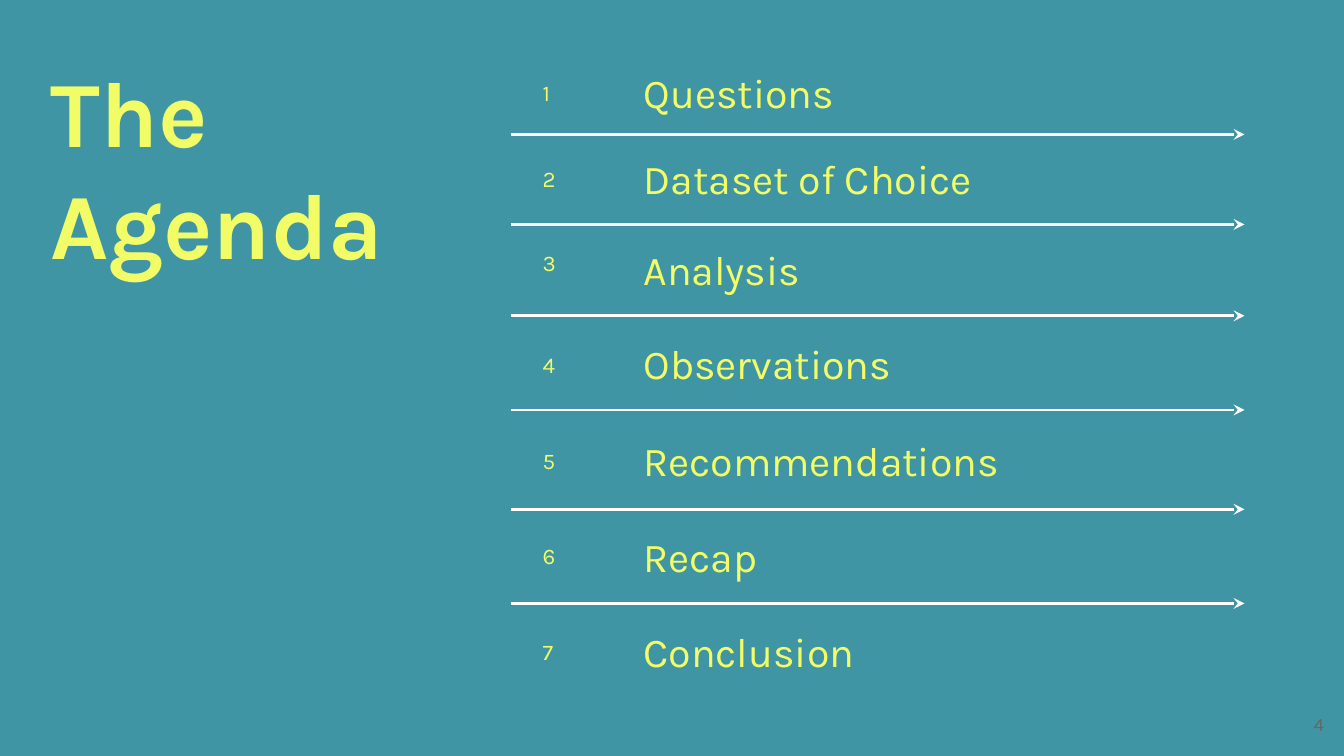
"""Build the agenda slide: a title and seven numbered items divided by arrows."""
import dataclasses

import lxml.etree
import pptx
import pptx.dml.color
import pptx.enum.shapes
import pptx.enum.text
import pptx.oxml.ns
import pptx.util

Inches = pptx.util.Inches
Anchor = pptx.enum.text.MSO_ANCHOR
Align = pptx.enum.text.PP_ALIGN


@dataclasses.dataclass(frozen=True)
class Theme:
    font: str = "Karla"
    background: str = "4095A5"
    text: str = "F2FC67"
    line: str = "FFFFFF"
    page: str = "666666"
    title_size: float = 50
    item_size: float = 22
    number_size: float = 12
    page_size: float = 10
    line_width: float = 1.5


def rgb(value):
    return pptx.dml.color.RGBColor.from_string(value)


class Deck:
    def __init__(self, prs, theme):
        self.theme = theme
        self.s = prs.slides.add_slide(prs.slide_layouts[6])
        fill = self.s.background.fill
        fill.solid()
        fill.fore_color.rgb = rgb(theme.background)

    def text(self, text, left, top, width, height, size, color=None,
             bold=False, anchor=Anchor.MIDDLE, align=Align.LEFT):
        sp = self.s.shapes.add_textbox(
            Inches(left), Inches(top), Inches(width), Inches(height))
        tf = sp.text_frame
        tf.word_wrap = True
        tf.vertical_anchor = anchor
        tf.margin_left = tf.margin_right = Inches(0.1)
        tf.margin_top = tf.margin_bottom = Inches(0.1)
        p = tf.paragraphs[0]
        p.text = text
        p.alignment = align
        p.font.name = self.theme.font
        p.font.size = pptx.util.Pt(size)
        p.font.bold = bold
        p.font.color.rgb = rgb(color or self.theme.text)

    def arrow(self, left, right, y):
        cxn = self.s.shapes.add_connector(
            pptx.enum.shapes.MSO_CONNECTOR.STRAIGHT,
            Inches(left), Inches(y), Inches(right), Inches(y))
        cxn.line.color.rgb = rgb(self.theme.line)
        cxn.line.width = pptx.util.Pt(self.theme.line_width)
        qn = pptx.oxml.ns.qn
        lxml.etree.SubElement(
            cxn.line._get_or_add_ln(), qn("a:tailEnd"), type="stealth")
        lxml.etree.SubElement(cxn._element.spPr, qn("a:effectLst"))


ITEMS = [
    ("Questions", 0.33, 0.33, Anchor.MIDDLE),
    ("Dataset of Choice", 0.97, 0.97, Anchor.MIDDLE),
    ("Analysis", 1.65, 1.75, Anchor.TOP),
    ("Observations", 2.35, 2.36, Anchor.MIDDLE),
    ("Recommendations", 3.07, 3.07, Anchor.MIDDLE),
    ("Recap", 3.78, 3.78, Anchor.MIDDLE),
    ("Conclusion", 4.49, 4.49, Anchor.MIDDLE),
]
ARROW_YS = [1, 1.67, 2.35, 3.05, 3.79, 4.49]


def main():
    prs = pptx.Presentation()
    prs.slide_width = Inches(10)
    prs.slide_height = Inches(10) * 9 // 16
    theme = Theme()
    deck = Deck(prs, theme)
    deck.text("The Agenda", 0.28, 0.3, 3.15, 1.85, theme.title_size,
              bold=True, anchor=Anchor.TOP)
    for number, (label, label_top, number_top, anchor) in enumerate(ITEMS, 1):
        deck.text(label, 4.69, label_top, 5.31, 0.71, theme.item_size)
        deck.text(str(number), 3.94, number_top, 0.7, 0.71,
                  theme.number_size, anchor=anchor)
    for y in ARROW_YS:
        deck.arrow(3.8, 9.26, y)
    deck.text("4", 9.35, 5.17, 0.6, 0.43, theme.page_size,
              color=theme.page, align=Align.RIGHT)
    prs.save("out.pptx")


if __name__ == "__main__":
    main()
